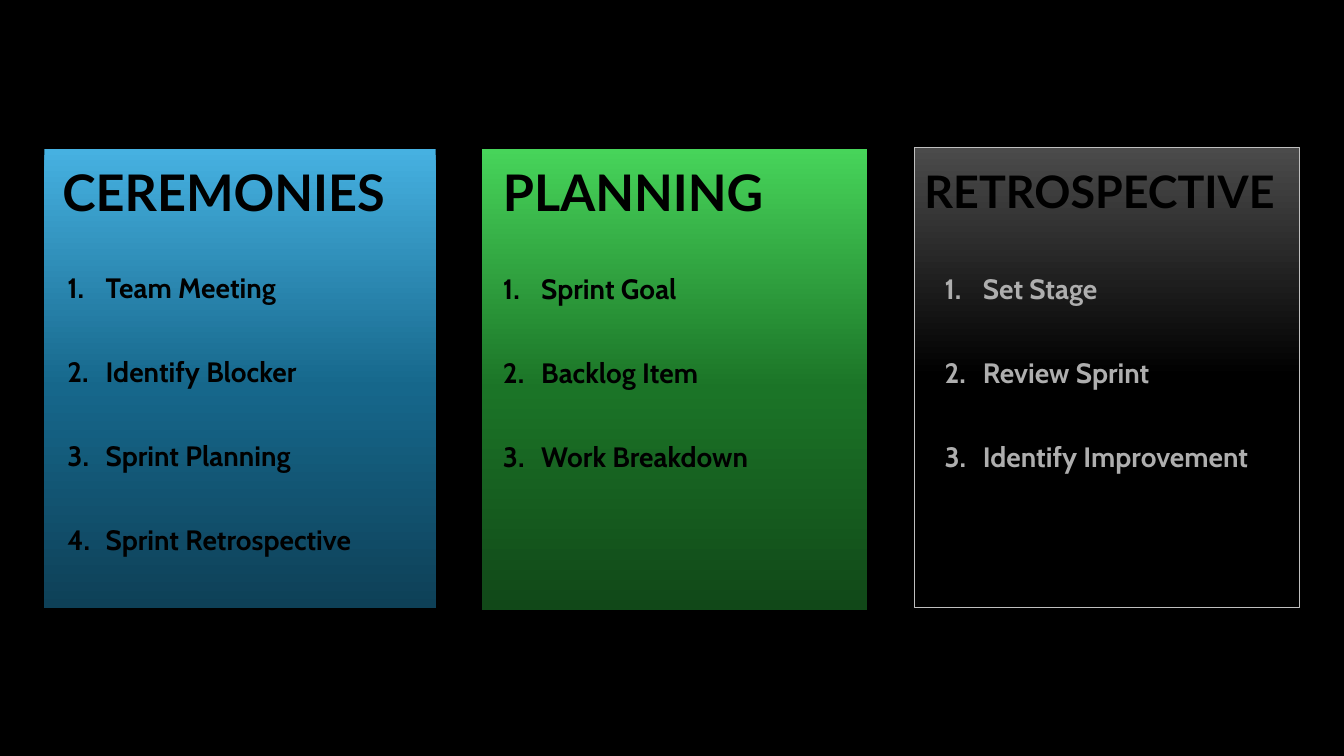
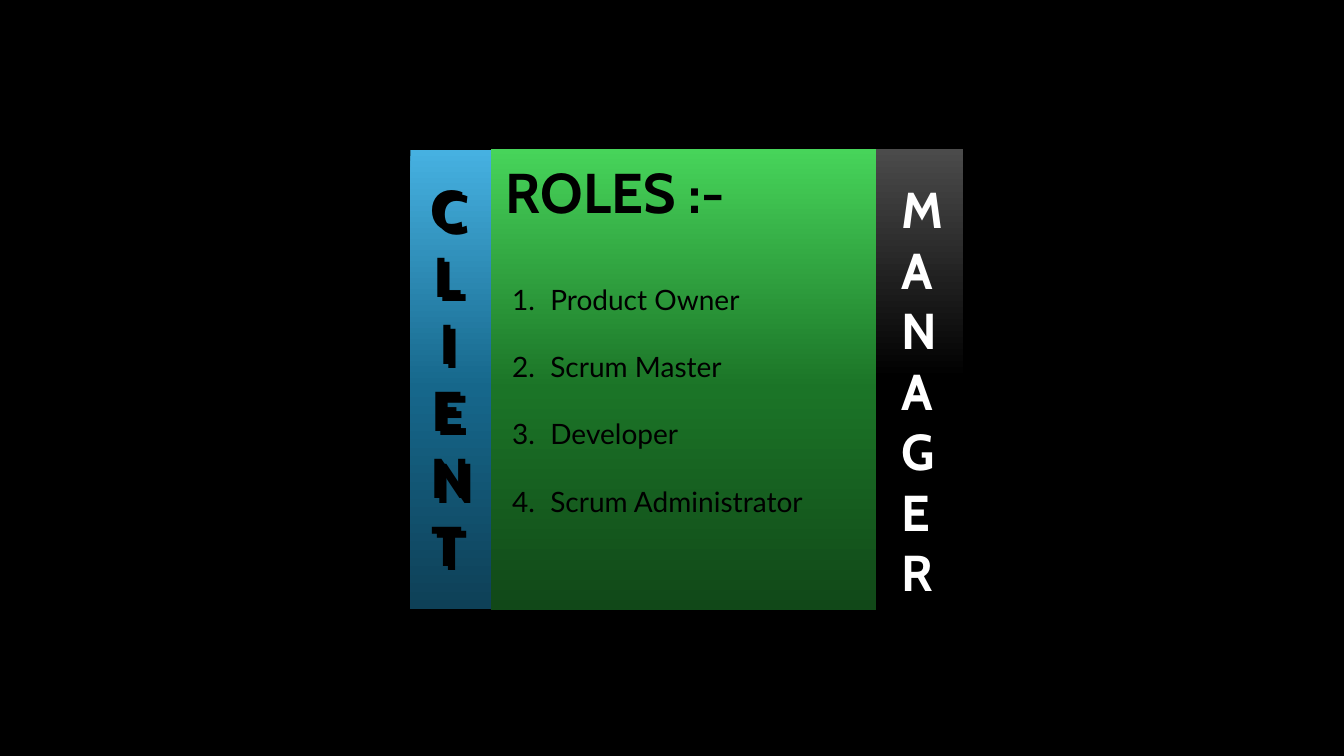
from dataclasses import dataclass
from typing import NamedTuple

from lxml.etree import SubElement
from pptx import Presentation
from pptx.dml.color import RGBColor
from pptx.enum.shapes import MSO_SHAPE as Shape
from pptx.enum.text import MSO_AUTO_SIZE as AutoSize, PP_ALIGN as Align
from pptx.oxml.ns import qn
from pptx.util import Pt

PX = 9144  # 100 px to the inch


class Box(NamedTuple):
    left: int
    top: int
    width: int
    height: int

    def inner(self, dx, dy, width, height):
        return Box(self.left + dx, self.top + dy, width, height)

    def emu(self):
        return [length * PX for length in self]


@dataclass(frozen=True)
class Theme:
    black: str = "000000"
    white: str = "FFFFFF"
    soft: str = "AEAEAE"
    edge: str = "BFBFBF"
    # Gradient stops from top to bottom: (percent, colour)
    blue: tuple = ((0, "46B1E1"), (52, "16678B"), (100, "0E4057"))
    green: tuple = ((0, "47D45A"), (52, "1B7427"), (100, "114818"))
    grey: tuple = ((0, "4B4B4B"), (50, "000000"), (100, "000000"))
    head_font: str = "Lato"
    body_font: str = "Cabin"
    banner: int = 40
    title: int = 36
    small_title: int = 32
    item: int = 20
    item_indent: int = 38


THEME = Theme()


def add_page(deck):
    page = deck.slides.add_slide(deck.slide_layouts[6])
    fill = page.background.fill
    fill.solid()
    fill.fore_color.rgb = RGBColor.from_string(THEME.black)
    return page


def add_panel(page, box, stops, edge=None):
    """Draw a rectangle shaded from top to bottom."""
    panel = page.shapes.add_shape(Shape.RECTANGLE, *box.emu())
    panel.shadow.inherit = False
    panel.fill.gradient()
    panel.fill.gradient_angle = 270
    stop_list = next(panel.element.iter(qn("a:gsLst")))
    for old_stop in list(stop_list):
        stop_list.remove(old_stop)
    for percent, colour in stops:
        stop = SubElement(stop_list, qn("a:gs"), pos=str(percent * 1000))
        SubElement(stop, qn("a:srgbClr"), val=colour)
    if edge:
        panel.line.color.rgb = RGBColor.from_string(edge)
        panel.line.width = Pt(0.75)
    else:
        panel.line.fill.background()


def number(para):
    props = para._p.get_or_add_pPr()
    indent = THEME.item_indent * PX
    props.set("marL", str(indent))
    props.set("indent", str(-indent))
    SubElement(props, qn("a:buAutoNum"), type="arabicPeriod")


def add_text(page, box, lines, *, size, font, colour=THEME.black, bold=True,
             align=Align.LEFT, spacing=None, numbered=False):
    """Write one paragraph for each line."""
    frame = page.shapes.add_textbox(*box.emu()).text_frame
    frame.word_wrap = True
    frame.auto_size = AutoSize.SHAPE_TO_FIT_TEXT
    for index, line in enumerate(lines):
        para = frame.add_paragraph() if index else frame.paragraphs[0]
        para.alignment = align
        if spacing:
            para.line_spacing = spacing
        if numbered:
            number(para)
        span = para.add_run()
        span.text = line
        span.font.size = Pt(size)
        span.font.name = font
        span.font.bold = bold
        span.font.color.rgb = RGBColor.from_string(colour)


def add_card(page, box, stops, title, title_box, items, list_box, *,
             title_size=THEME.title, title_font=THEME.head_font,
             item_font=THEME.body_font, item_colour=THEME.black,
             item_bold=True, spacing=2.5, edge=None):
    """Place a titled numbered list; its inner boxes are relative to the card."""
    add_panel(page, box, stops, edge)
    add_text(page, box.inner(*title_box), [title], size=title_size, font=title_font)
    add_text(page, box.inner(*list_box), items, size=THEME.item, font=item_font,
             colour=item_colour, bold=item_bold, spacing=spacing, numbered=True)


def add_side_bar(page, box, stops, word, letter_boxes, **style):
    """Place a panel with a word written downwards, once for each letter box."""
    add_panel(page, box, stops)
    for letter_box in letter_boxes:
        add_text(page, box.inner(*letter_box), word, font=THEME.body_font, **style)


def build_activities(deck):
    page = add_page(deck)
    add_card(page, Box(44, 148, 388, 455), THEME.blue,
             "CEREMONIES", (8, 7, 366, 71),
             ["Team Meeting", "Identify Blocker", "Sprint Planning",
              "Sprint Retrospective"], (13, 65, 319, 502))
    add_card(page, Box(478, 148, 382, 457), THEME.green,
             "PLANNING", (11, 7, 352, 71),
             ["Sprint Goal", "Backlog Item", "Work Breakdown"], (11, 66, 326, 249))
    add_card(page, Box(907, 146, 382, 457), THEME.grey,
             "RETROSPECTIVE", (0, 12, 369, 64),
             ["Set Stage", "Review Sprint", "Identify Improvement"],
             (20, 68, 330, 249), title_size=THEME.small_title,
             item_colour=THEME.soft, edge=THEME.edge)


def build_roles(deck):
    page = add_page(deck)
    add_side_bar(page, Box(573, 148, 382, 457), THEME.grey, "MANAGER",
                 [(311, 24, 69, 434)], size=THEME.title, colour=THEME.white)
    add_side_bar(page, Box(407, 149, 388, 455), THEME.blue, "CLIENT",
                 [(15, 23, 53, 414), (10, 19, 53, 414)],
                 size=THEME.banner, align=Align.CENTER)
    add_card(page, Box(487, 148, 382, 457), THEME.green,
             "ROLES :-", (5, 3, 346, 77),
             ["Product Owner", "Scrum Master", "Developer", "Scrum Administrator"],
             (11, 94, 382, 270), title_size=THEME.banner,
             title_font=THEME.body_font, item_font=THEME.head_font,
             item_bold=False, spacing=2.0)


def main():
    deck = Presentation()
    deck.slide_width, deck.slide_height = 1333 * PX, 750 * PX
    build_activities(deck)
    build_roles(deck)
    deck.save("out.pptx")


if __name__ == "__main__":
    main()
